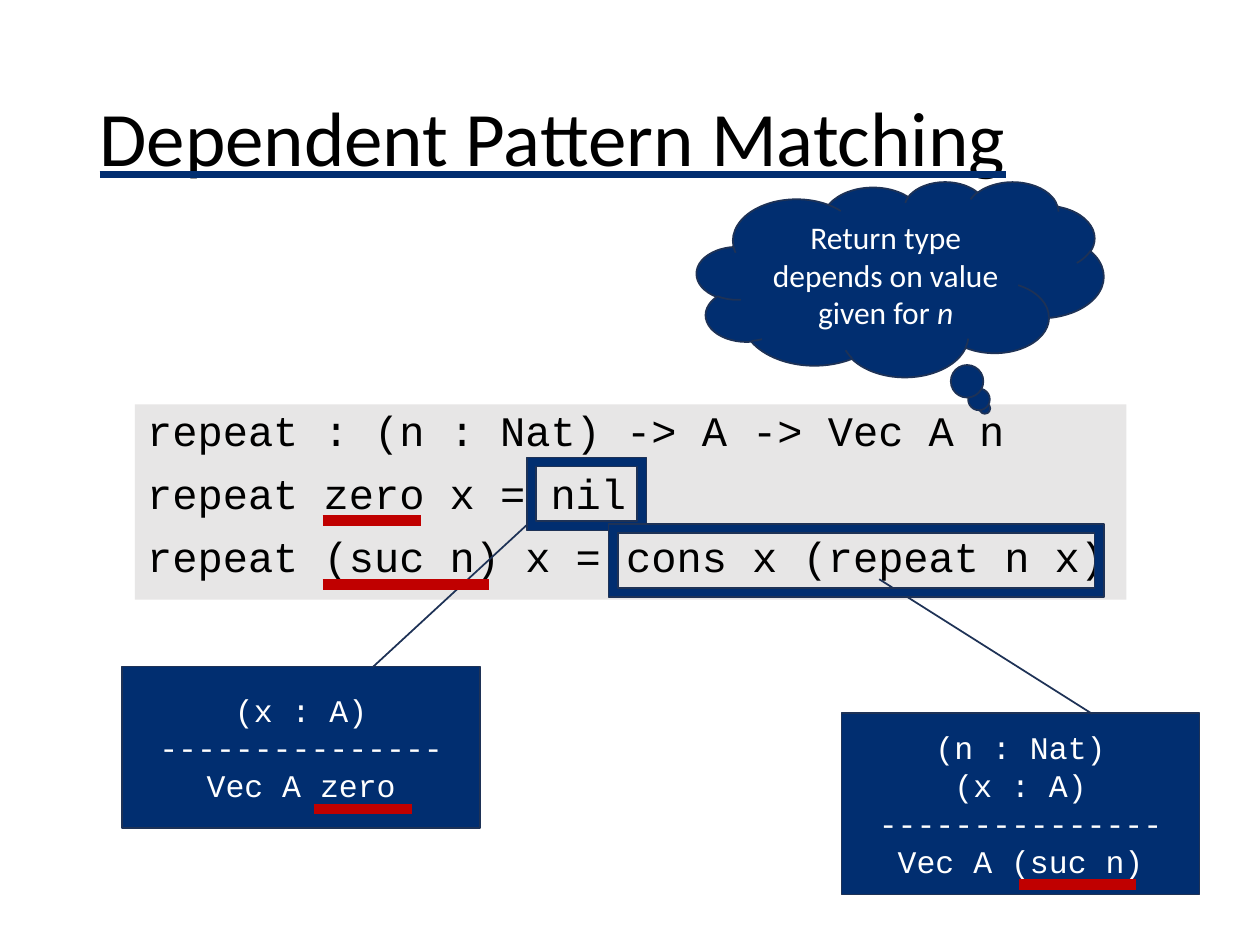
from lxml import etree
from pptx import Presentation
from pptx.dml.color import RGBColor
from pptx.enum.shapes import MSO_CONNECTOR, MSO_SHAPE
from pptx.enum.text import MSO_ANCHOR, PP_ALIGN
from pptx.oxml.ns import qn
from pptx.util import Inches, Pt

NAVY = RGBColor(0x01, 0x2E, 0x70)
OUTLINE = RGBColor(0x1E, 0x32, 0x56)
RED = RGBColor(0xC0, 0x00, 0x00)
GRAY = RGBColor(0xE7, 0xE6, 0xE6)
BLACK = RGBColor(0x00, 0x00, 0x00)
WHITE = RGBColor(0xFF, 0xFF, 0xFF)
SANS = "Calibri"
MONO = "Courier New"


def write_text(shape, paragraphs, font=SANS, size=18, color=WHITE, align=PP_ALIGN.CENTER,
               anchor=MSO_ANCHOR.MIDDLE, line_spacing=None, space_before=0):
    """Fill a shape; each paragraph is a list of (text, italic) runs."""
    frame = shape.text_frame
    frame.word_wrap = True
    frame.vertical_anchor = anchor
    for index, runs in enumerate(paragraphs):
        paragraph = frame.add_paragraph() if index else frame.paragraphs[0]
        paragraph.alignment = align
        paragraph.line_spacing = line_spacing
        paragraph.space_before = Pt(space_before)
        for text, italic in runs:
            run = paragraph.add_run()
            run.text = text
            run.font.name = font
            run.font.size = Pt(size)
            run.font.color.rgb = color
            run.font.italic = italic


def plain_lines(*lines):
    return [[(line, None)] for line in lines]


def add_block(slide, kind, box, fill=NAVY, outline=OUTLINE, adjustments=()):
    shape = slide.shapes.add_shape(kind, *map(Inches, box))
    shape.shadow.inherit = False
    shape.fill.solid()
    shape.fill.fore_color.rgb = fill
    if outline is None:
        shape.line.fill.background()
    else:
        shape.line.color.rgb = outline
        shape.line.width = Pt(1)
    for index, value in enumerate(adjustments):
        shape.adjustments[index] = value
    return shape


def add_title(slide, box, text):
    title = slide.shapes.title
    title.left, title.top, title.width, title.height = map(Inches, box)
    write_text(title, plain_lines(text), size=44, color=BLACK,
               align=PP_ALIGN.LEFT, line_spacing=0.9)
    font = title.text_frame.paragraphs[0].runs[0].font
    font.underline = True
    underline_fill = etree.Element(qn("a:uFill"))
    solid_fill = etree.SubElement(underline_fill, qn("a:solidFill"))
    etree.SubElement(solid_fill, qn("a:srgbClr"), val=str(NAVY))
    font.fill._xPr.find(qn("a:solidFill")).addnext(underline_fill)


def add_code(slide, box, *lines):
    panel = add_block(slide, MSO_SHAPE.RECTANGLE, box, GRAY, None)
    write_text(panel, plain_lines(*lines), font=MONO, size=24, color=BLACK,
               align=PP_ALIGN.LEFT, anchor=MSO_ANCHOR.TOP, line_spacing=0.9, space_before=10)


def add_type_callout(slide, box, pointer, *lines):
    """Add a goal type; pointer is the tip as (y, x) fractions of the box."""
    callout = add_block(slide, MSO_SHAPE.LINE_CALLOUT_1, box,
                        adjustments=(0.004, 0.7, *pointer))
    write_text(callout, plain_lines(*lines), font=MONO)


def add_thought(slide, box, runs):
    cloud = add_block(slide, MSO_SHAPE.CLOUD_CALLOUT, box, adjustments=(0.208, 0.662))
    write_text(cloud, [runs])


def add_red_underline(slide, left, right, y):
    line = slide.shapes.add_connector(MSO_CONNECTOR.STRAIGHT, Inches(left), Inches(y),
                                      Inches(right), Inches(y))
    line.line.color.rgb = RED
    line.line.width = Pt(6)
    etree.SubElement(line._element.spPr, qn("a:effectLst"))


def build_slide(presentation):
    slide = presentation.slides.add_slide(presentation.slide_layouts[5])
    add_title(slide, (0.69, 0.4, 8.62, 1.45), "Dependent Pattern Matching")
    add_code(slide, (1.07, 3.21, 7.87, 1.55),
             "repeat : (n : Nat) -> A -> Vec A n",
             "repeat zero x = nil",
             "repeat (suc n) x = cons x (repeat n x)")

    rule = "-" * 15
    add_type_callout(slide, (0.97, 5.29, 2.84, 1.28), (-0.895, 1.139),
                     "(x : A)", rule, "Vec A zero")
    add_type_callout(slide, (6.68, 5.66, 2.84, 1.44), (-0.738, 0.105),
                     "(n : Nat)", "(x : A)", rule, "Vec A (suc n)")

    for result_box in ((4.18, 3.63, 0.95, 0.58), (4.83, 4.16, 3.93, 0.58)):
        add_block(slide, MSO_SHAPE.FRAME, result_box)
    for left, right, y in ((2.49, 3.27, 6.42), (2.56, 3.34, 4.13),
                           (8.09, 9.02, 7.02), (2.56, 3.88, 4.64)):
        add_red_underline(slide, left, right, y)

    add_thought(slide, (5.53, 1.44, 3.23, 1.55),
                [("Return type depends on value given for ", None), ("n", True)])


def main():
    presentation = Presentation()
    presentation.slide_width = Inches(10)
    presentation.slide_height = Inches(7.5)
    build_slide(presentation)
    presentation.save("out.pptx")


if __name__ == "__main__":
    main()
